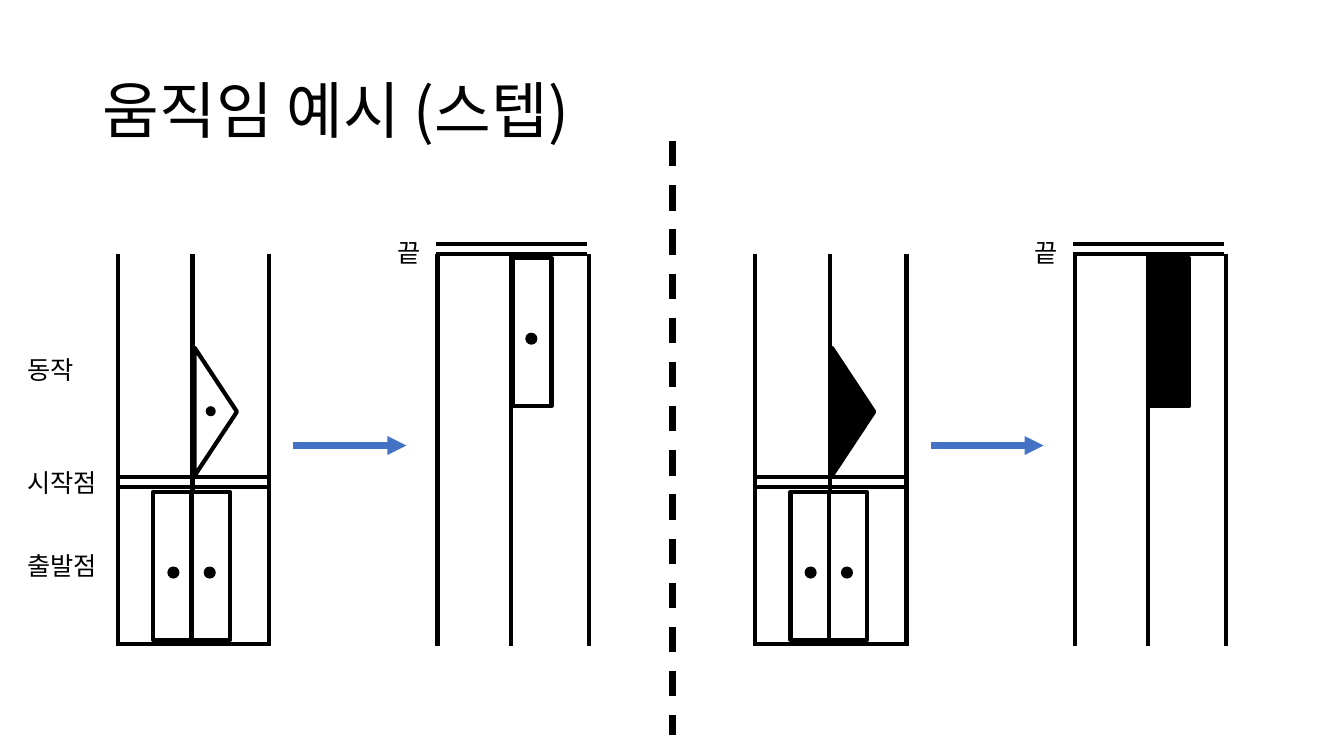
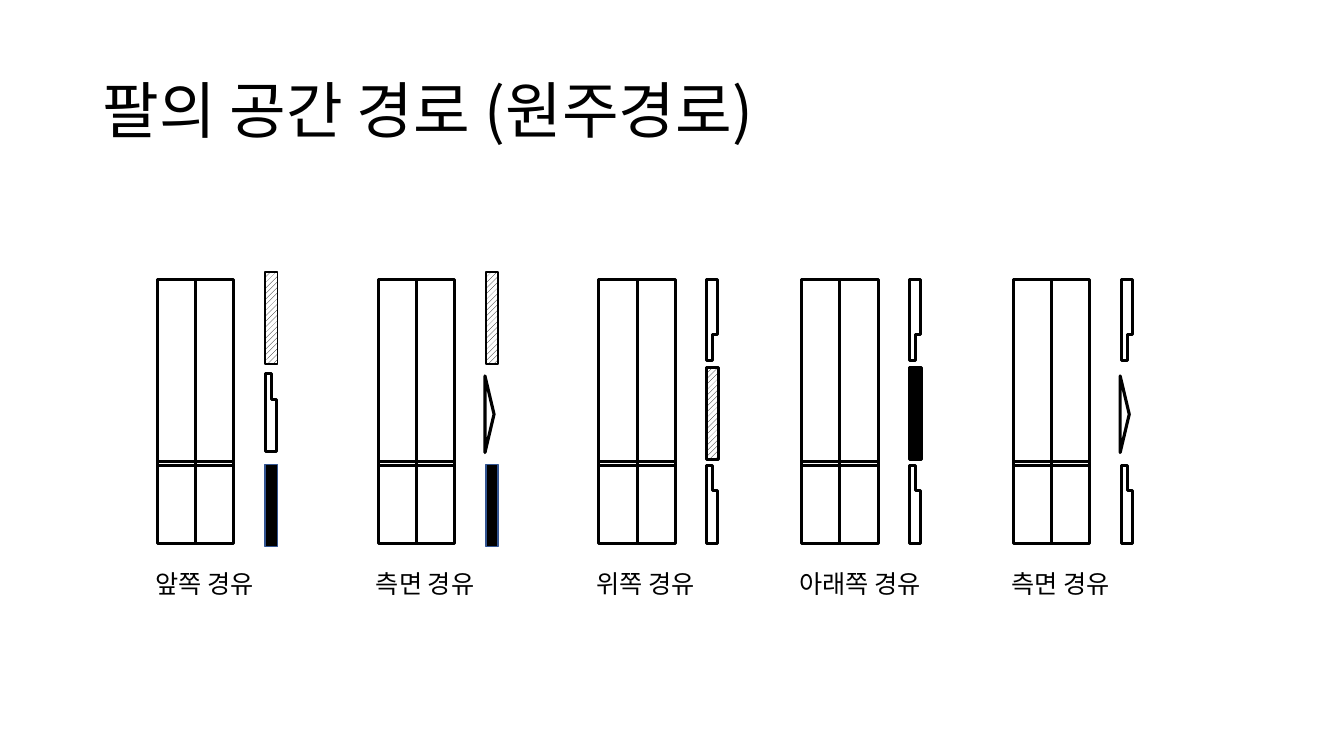
import lxml.etree
import pptx
import pptx.dml.color
import pptx.enum.dml
import pptx.enum.shapes
import pptx.enum.text
import pptx.oxml.ns
import pptx.util

SCALE = 9144
FONT = "Noto Sans CJK KR"
COLORS = {"ink": "000000", "paper": "FFFFFF", "arrow": "4472C4", "edge": "325491"}
SHAPES = pptx.enum.shapes.MSO_SHAPE
ANCHORS = pptx.enum.text.MSO_ANCHOR
TITLE_STYLE = {"size": pptx.util.Pt(44), "name": FONT}
LABEL_STYLE = {"size": pptx.util.Pt(18), "name": FONT}
HEAVY, MEDIUM, THIN = 3, 2.25, 1

MARKS = {
    "hatched top": ("bar", 107, -7, 12, 91, "hatch", "ink", THIN),
    "step top": ("hanging step", 107, 0, 11, 81, "paper", "ink", MEDIUM),
    "step middle": ("standing step", 107, 94, 11, 77, "paper", "ink", MEDIUM),
    "triangle": ("triangle", 106, 96, 9, 76, "paper", "ink", MEDIUM),
    "hatched middle": ("bar", 107, 88, 12, 91, "hatch", "ink", MEDIUM),
    "black middle": ("bar", 107, 88, 12, 91, "ink", "ink", MEDIUM),
    "black bottom": ("bar", 107, 184, 12, 81, "ink", "edge", THIN),
    "step bottom": ("standing step", 107, 185, 11, 77, "paper", "ink", MEDIUM),
}
COLUMNS = [
    (156, "앞쪽 경유", 130, ("hatched top", "step middle", "black bottom")),
    (375, "측면 경유", 130, ("hatched top", "triangle", "black bottom")),
    (594, "위쪽 경유", 130, ("step top", "hatched middle", "step bottom")),
    (795, "아래쪽 경유", 155, ("step top", "black middle", "step bottom")),
    (1005, "측면 경유", 130, ("step top", "triangle", "step bottom")),
]


def px(length):
    return pptx.util.Emu(round(length * SCALE))


def rgb(name):
    return pptx.dml.color.RGBColor.from_string(COLORS[name])


def apply(target, values):
    for name, value in values.items():
        setattr(target, name, value)


def add_text(page, text, left, top, width, height, style, wrap=False, spacing=None, anchor=ANCHORS.TOP):
    box = page.shapes.add_textbox(px(left), px(top), px(width), px(height))
    apply(box.text_frame, {"word_wrap": wrap, "vertical_anchor": anchor})
    para = box.text_frame.paragraphs[0]
    para.line_spacing = spacing
    span = para.add_run()
    span.text = text
    apply(span.font, style)
    span.font.color.rgb = rgb("ink")
    properties = span.font.fill._xPr
    lxml.etree.SubElement(properties, pptx.oxml.ns.qn("a:ea"), typeface=FONT)


def add_title(page, text):
    add_text(page, text, 92, 40, 1150, 145, TITLE_STYLE, True, 0.9, ANCHORS.MIDDLE)


def paint(shape, fill, edge, weight):
    shape.shadow.inherit = False
    if fill == "hatch":
        shape.fill.patterned()
        shape.fill.pattern = pptx.enum.dml.MSO_PATTERN.WIDE_UPWARD_DIAGONAL
        shape.fill.fore_color.rgb = rgb("ink")
        shape.fill.back_color.rgb = rgb("paper")
    else:
        shape.fill.solid()
        shape.fill.fore_color.rgb = rgb(fill)
    if weight:
        shape.line.color.rgb = rgb(edge)
        shape.line.width = pptx.util.Pt(weight)
    else:
        shape.line.fill.background()


def add_shape(page, kind, left, top, width, height, fill="paper", edge="ink", weight=HEAVY):
    shape = page.shapes.add_shape(kind, px(left), px(top), px(width), px(height))
    paint(shape, fill, edge, weight)
    return shape


def add_triangle(page, left, top, width, height, fill, edge, weight):
    shift = (height - width) / 2
    triangle = add_shape(page, SHAPES.ISOSCELES_TRIANGLE, left - shift, top + shift,
                         height, width, fill, edge, weight)
    triangle.rotation = 90


def add_step(page, left, top, width, height, hanging, fill, edge, weight):
    narrow, wide = (top + height, top) if hanging else (top, top + height)
    shoulder = top + height - 26 if hanging else top + 25
    middle, right = left + 6, left + width
    builder = page.shapes.build_freeform(middle, narrow, SCALE)
    builder.add_line_segments([(left, narrow), (left, wide), (right, wide),
                               (right, shoulder), (middle, shoulder)], close=True)
    paint(builder.convert_to_shape(), fill, edge, weight)


def add_line(page, x1, y1, x2, y2, weight=HEAVY, color="ink", dash=None, arrow=False):
    line = page.shapes.add_connector(pptx.enum.shapes.MSO_CONNECTOR.STRAIGHT,
                                     px(x1), px(y1), px(x2), px(y2))
    line.line.color.rgb = rgb(color)
    line.line.width = pptx.util.Pt(weight)
    if dash:
        line.line.dash_style = dash
    properties = line.element.spPr
    if arrow:
        outline = properties.find(pptx.oxml.ns.qn("a:ln"))
        lxml.etree.SubElement(outline, pptx.oxml.ns.qn("a:tailEnd"), type="triangle")
    lxml.etree.SubElement(properties, pptx.oxml.ns.qn("a:effectLst"))


def add_dot(page, left, top, size=12):
    add_shape(page, SHAPES.OVAL, left, top, size, size, "ink", weight=0)


def add_staff(page, left, top, crossings):
    for offset in crossings:
        add_line(page, left, top + offset, left + 150, top + offset)


def add_verticals(page, left, top, middle):
    for offset in (0, middle, 150):
        add_line(page, left + offset, top, left + offset, top + 389)


def add_step_panel(page, left, top, fill):
    add_staff(page, left, top, (221, 231, 387))
    add_verticals(page, left, top, 74)
    for offset in (73, 35):
        add_shape(page, SHAPES.RECTANGLE, left + offset, top + 236, 38, 147)
    for offset in (85, 49):
        add_dot(page, left + offset, top + 310)
    add_triangle(page, left + 76, top + 93, 42, 127, fill, "ink", HEAVY)

    add_line(page, left + 174, top + 190, left + 286, top + 190, 4.5, "arrow", arrow=True)

    add_verticals(page, left + 317, top, 73)
    add_staff(page, left + 315, top, (-10, 0))
    add_text(page, "끝", left + 267, top - 21, 45, 40, LABEL_STYLE)
    add_shape(page, SHAPES.RECTANGLE, left + 392, top + 4, 38, 147, fill)
    if fill == "paper":
        add_dot(page, left + 87, top + 151, 10)
        add_dot(page, left + 404, top + 78)


def add_movement_page(deck):
    page = deck.slides.add_slide(deck.slide_layouts[6])
    add_title(page, "움직임 예시 (스텝)")
    for text, top, width in (("출발점", 541, 96), ("시작점", 459, 96), ("동작", 347, 71)):
        add_text(page, text, 17, top, width, 40, LABEL_STYLE)
    for left, fill in ((117, "paper"), (749, "ink")):
        add_step_panel(page, left, 252, fill)
    add_line(page, 667, 140, 667, 729, 4.5, dash=pptx.enum.dml.MSO_LINE.DASH)


def add_mark(page, left, top, name):
    kind, x, y, width, height, *look = MARKS[name]
    place = (left + x, top + y, width, height)
    if kind == "bar":
        add_shape(page, SHAPES.RECTANGLE, *place, *look)
    elif kind == "triangle":
        add_triangle(page, *place, *look)
    else:
        add_step(page, *place, kind == "hanging step", *look)


def add_route_column(page, left, top, label, width, marks):
    for y, height in ((181, 81), (0, 181)):
        for x in (0, 38):
            add_shape(page, SHAPES.RECTANGLE, left + x, top + y, 38, height, weight=MEDIUM)
    add_line(page, left, top + 185, left + 77, top + 185, MEDIUM)
    for name in marks:
        add_mark(page, left, top, name)
    add_text(page, label, left - 12, top + 282, width, 40, LABEL_STYLE)


def add_route_page(deck):
    page = deck.slides.add_slide(deck.slide_layouts[6])
    add_title(page, "팔의 공간 경로 (원주경로)")
    for left, label, width, marks in COLUMNS:
        add_route_column(page, left, 277, label, width, marks)


def main():
    deck = pptx.Presentation()
    apply(deck, {"slide_width": px(1333), "slide_height": px(750)})
    add_movement_page(deck)
    add_route_page(deck)
    deck.save("out.pptx")


if __name__ == "__main__":
    main()
